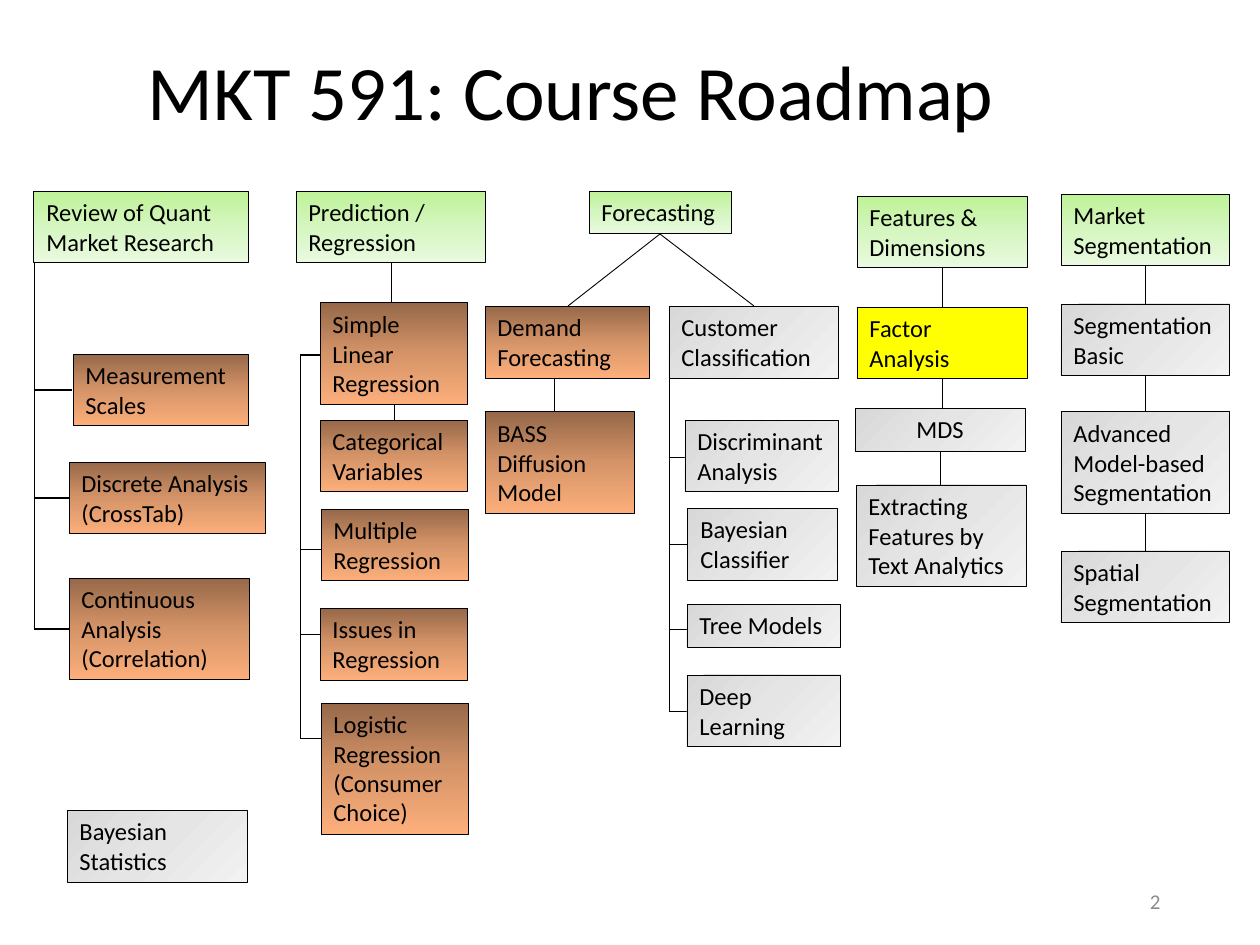
from copy import deepcopy
from itertools import pairwise
from pptx import Presentation
from pptx.dml.color import RGBColor
from pptx.enum.shapes import MSO_CONNECTOR, MSO_SHAPE
from pptx.enum.text import MSO_ANCHOR, MSO_AUTO_SIZE, PP_ALIGN
from pptx.oxml.ns import qn
from pptx.util import Emu, Pt
from lxml.etree import SubElement

SCALE = 914400 / 126
FONT = "Calibri"
BLACK = RGBColor(0x00, 0x00, 0x00)
GRAY = RGBColor(0x8C, 0x8C, 0x8C)
YELLOW = RGBColor(0xFF, 0xFF, 0x00)
GREEN_STOPS = (RGBColor(0xBE, 0xF2, 0x97), RGBColor(0xD5, 0xF6, 0xC0), RGBColor(0xEA, 0xFA, 0xE0))
BROWN_STOPS = (RGBColor(0x96, 0x68, 0x49), RGBColor(0xD5, 0x94, 0x68), RGBColor(0xFD, 0xAF, 0x7B))
SILVER_STOPS = (RGBColor(0xD8, 0xD8, 0xD8), RGBColor(0xE5, 0xE5, 0xE5), RGBColor(0xF2, 0xF2, 0xF2))
HEADER, COVERED, UPCOMING = (GREEN_STOPS, 270), (BROWN_STOPS, 270), (SILVER_STOPS, 315)
CURRENT = None
THIN, THICK = 0.5, 1.5
BOX_HEIGHTS = {1: 43, 2: 72, 3: 102, 4: 131}


def px(length):
    """Turn pixels into EMU."""
    return Emu(round(length * SCALE))


def write(paragraph, text, size, color):
    """Add one formatted run to a paragraph."""
    run = paragraph.add_run()
    run.text = text
    run.font.name = FONT
    run.font.size = Pt(size)
    run.font.color.rgb = color


def paint(shape, style):
    """Fill a shape with the gradient of its style, or solid for the current topic."""
    if style is CURRENT:
        shape.fill.solid()
        shape.fill.fore_color.rgb = YELLOW
        return
    colors, angle = style
    shape.fill.gradient()
    shape.fill.gradient_angle = angle
    stop_list = shape._element.spPr.find(qn("a:gradFill")).find(qn("a:gsLst"))
    stop_list.insert(1, deepcopy(stop_list[0]))
    for stop, color, position in zip(shape.fill.gradient_stops, colors, (0, 0.5, 1)):
        stop.color.rgb = color
        stop.position = position


def add_line(slide, start, end, width=THIN):
    """Draw a black straight line between two points."""
    line = slide.shapes.add_connector(MSO_CONNECTOR.STRAIGHT, *map(px, (*start, *end)))
    line.line.color.rgb = BLACK
    line.line.width = Pt(width)
    SubElement(line._element.spPr, qn("a:effectLst"))


def add_topic(slide, left, top, width, rows, text, style, align=PP_ALIGN.LEFT):
    """Draw a topic box whose height follows from its rows of text."""
    box = (left, top, width, BOX_HEIGHTS[rows])
    shape = slide.shapes.add_shape(MSO_SHAPE.RECTANGLE, *map(px, box))
    shape.shadow.inherit = False
    paint(shape, style)
    shape.line.color.rgb = BLACK
    shape.line.width = Pt(THIN)
    frame = shape.text_frame
    frame.word_wrap = True
    frame.auto_size = MSO_AUTO_SIZE.SHAPE_TO_FIT_TEXT
    frame.vertical_anchor = MSO_ANCHOR.TOP
    frame.paragraphs[0].alignment = align
    write(frame.paragraphs[0], text, 14, BLACK)
    return box


def add_column(slide, left, top, topics):
    """Place topics relative to the corner of their column."""
    return [add_topic(slide, left + x, top + y, *rest) for x, y, *rest in topics]


def add_chain(slide, left, top, topics):
    """Place a column of topics and link each one to the next."""
    boxes = add_column(slide, left, top, topics)
    for (x, y, width, height), below in pairwise(boxes):
        center = x + width // 2
        add_line(slide, (center, y + height), (center, below[1]))
    return boxes


def add_bracket(slide, left, top, bottom, ticks):
    """Draw a vertical spine with ticks given as height, length and line width."""
    add_line(slide, (left, top), (left, top + bottom))
    for y, length, width in ticks:
        add_line(slide, (left, top + y), (left + length, top + y), width)


def add_review(slide, left, top):
    """Draw the review column."""
    add_bracket(slide, left, top + 72, 366,
                [(127, 38, THICK), (235, 35, THICK), (366, 35, THICK)])
    add_column(slide, left, top, [
        (0, 0, 215, 2, "Review of Quant Market Research", HEADER),
        (39, 163, 176, 2, "Measurement Scales", COVERED),
        (35, 271, 196, 2, "Discrete Analysis (CrossTab)", COVERED),
        (35, 387, 180, 3, "Continuous Analysis (Correlation)", COVERED),
        (33, 619, 180, 2, "Bayesian Statistics", UPCOMING),
    ])


def add_regression(slide, left, top):
    """Draw the regression column."""
    add_bracket(slide, left + 4, top + 163, 384,
                [(1, 20, THICK), (195, 21, THIN), (280, 20, THIN), (384, 21, THIN)])
    add_chain(slide, left, top, [
        (0, 0, 190, 2, "Prediction / Regression", HEADER),
        (24, 112, 148, 3, "Simple Linear Regression", COVERED),
        (24, 229, 148, 2, "Categorical Variables", COVERED),
    ])
    add_column(slide, left, top, [
        (25, 318, 148, 2, "Multiple Regression", COVERED),
        (24, 417, 148, 2, "Issues in Regression", COVERED),
        (25, 512, 148, 4, "Logistic Regression (Consumer Choice)", COVERED),
    ])


def add_forecasting(slide, left, top):
    """Draw the forecasting header with its two branches."""
    for branch in (83, 269):
        add_line(slide, (left + 175, top + 43), (left + branch, top + 115))
    add_line(slide, (left + 69, top + 187), (left + 69, top + 221))
    add_bracket(slide, left + 184, top + 158, 362,
                [(y, 18, THIN) for y in (108, 195, 280, 362)])
    add_column(slide, left, top, [
        (104, 0, 142, 1, "Forecasting", HEADER),
        (0, 115, 165, 2, "Demand Forecasting", COVERED),
        (0, 221, 150, 3, "BASS Diffusion Model", COVERED),
        (184, 115, 169, 2, "Customer Classification", UPCOMING),
        (200, 229, 154, 2, "Discriminant Analysis", UPCOMING),
        (203, 317, 150, 2, "Bayesian Classifier", UPCOMING),
        (202, 413, 154, 1, "Tree Models", UPCOMING),
        (202, 484, 154, 2, "Deep Learning", UPCOMING),
    ])


def add_features(slide, left, top):
    """Draw the features column."""
    add_chain(slide, left, top, [
        (0, 0, 170, 2, "Features & Dimensions", HEADER),
        (0, 111, 170, 2, "Factor Analysis", CURRENT),
        (-2, 212, 170, 1, "MDS", UPCOMING, PP_ALIGN.CENTER),
        (-1, 289, 170, 3, "Extracting Features by Text Analytics", UPCOMING),
    ])


def add_segmentation(slide, left, top):
    """Draw the segmentation column."""
    add_chain(slide, left, top, [
        (0, 0, 169, 2, "Market Segmentation", HEADER),
        (0, 110, 169, 2, "Segmentation Basic", UPCOMING),
        (0, 218, 169, 3, "Advanced Model-based Segmentation", UPCOMING),
        (0, 357, 169, 2, "Spatial Segmentation", UPCOMING),
    ])


def add_title(slide, left, top, width, height):
    """Move the title placeholder and write the heading."""
    title = slide.shapes.title
    title.left, title.top, title.width, title.height = map(px, (left, top, width, height))
    title.text_frame.vertical_anchor = MSO_ANCHOR.MIDDLE
    paragraph = title.text_frame.paragraphs[0]
    paragraph.alignment = PP_ALIGN.LEFT
    paragraph.line_spacing = 0.9
    write(paragraph, "MKT 591: Course Roadmap", 44, BLACK)


def add_page_number(slide, left, top, width, height):
    """Write the page number at the right of its box."""
    frame = slide.shapes.add_textbox(*map(px, (left, top, width, height))).text_frame
    frame.word_wrap = True
    frame.vertical_anchor = MSO_ANCHOR.MIDDLE
    frame.paragraphs[0].alignment = PP_ALIGN.RIGHT
    write(frame.paragraphs[0], "2", 12, GRAY)


def main():
    """Build and save the roadmap slide."""
    presentation = Presentation()
    presentation.slide_width, presentation.slide_height = px(1260), px(945)
    slide = presentation.slides.add_slide(presentation.slide_layouts[5])
    add_title(slide, 135, 4, 916, 183)
    add_review(slide, 34, 191)
    add_regression(slide, 296, 191)
    add_forecasting(slide, 485, 191)
    add_features(slide, 857, 196)
    add_segmentation(slide, 1061, 194)
    add_page_number(slide, 890, 876, 283, 50)
    presentation.save("out.pptx")


main()
